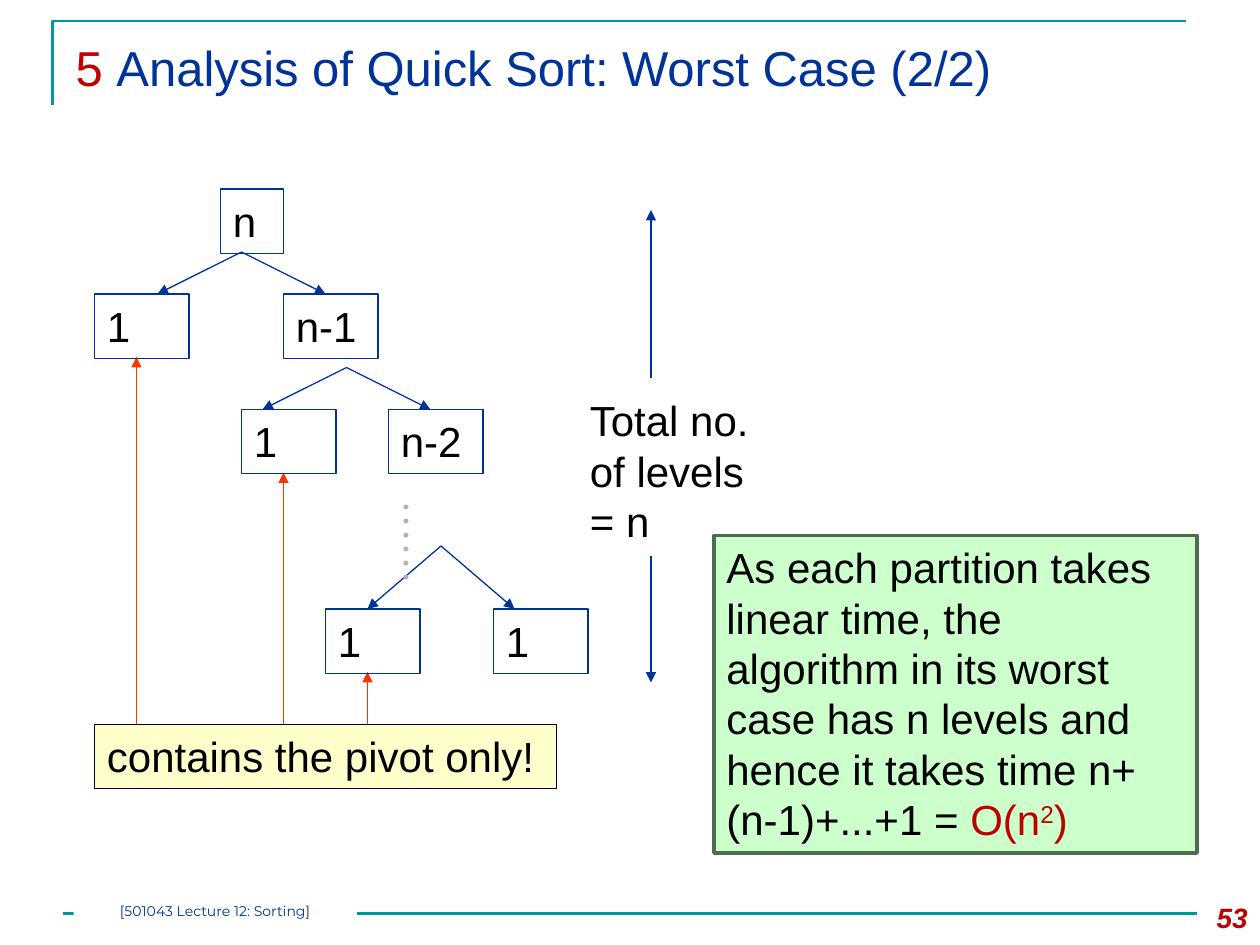
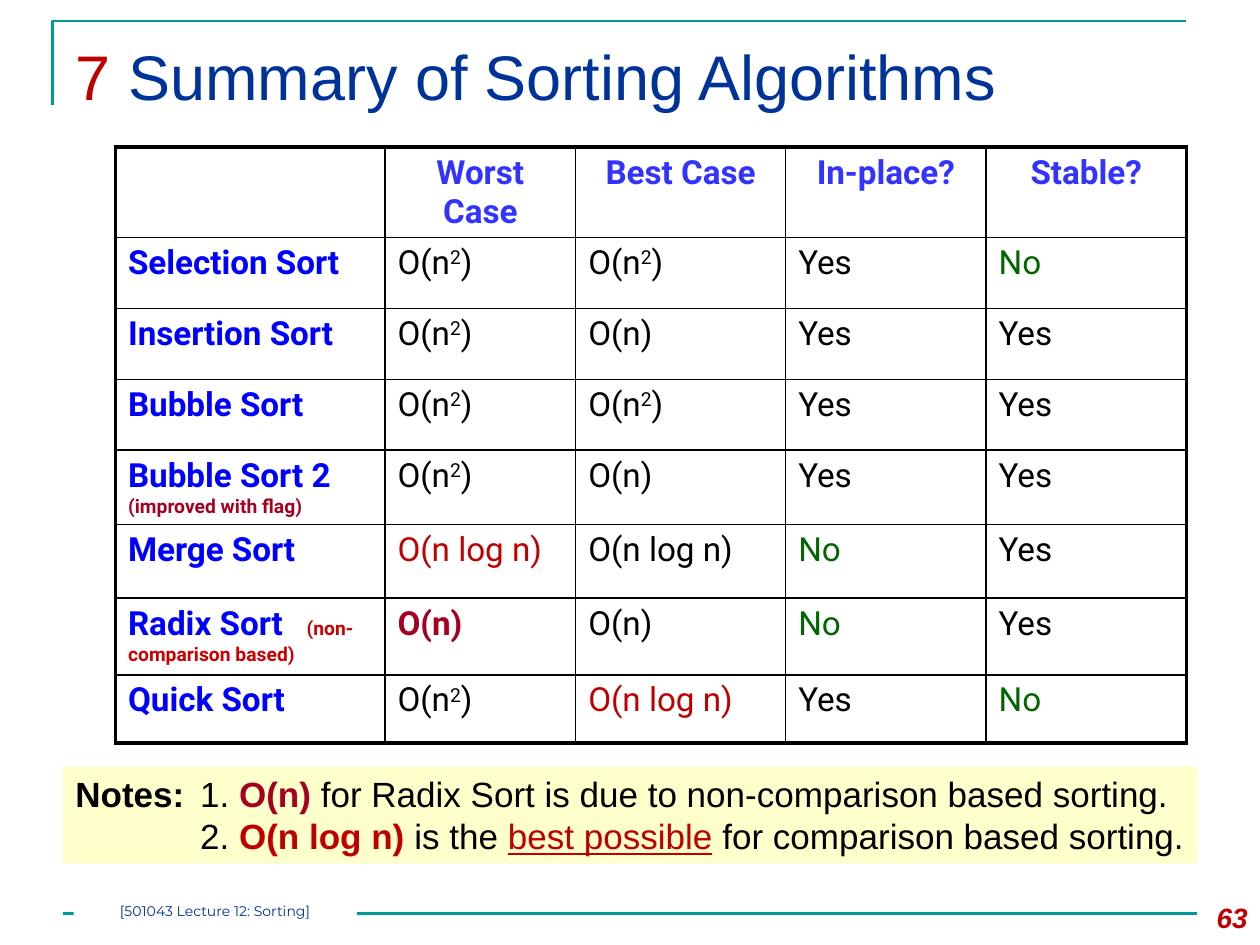
import pptx
import pptx.dml.color
import pptx.enum.shapes
import pptx.enum.text
import pptx.oxml
import pptx.oxml.ns
import pptx.util
from lxml import etree

Pt = pptx.util.Pt
Rgb = pptx.dml.color.RGBColor.from_string
Align = pptx.enum.text.PP_ALIGN
RECTANGLE = pptx.enum.shapes.MSO_SHAPE.RECTANGLE
STRAIGHT = pptx.enum.shapes.MSO_CONNECTOR.STRAIGHT
qn = pptx.oxml.ns.qn


class Theme:
    font, footer_font, table_font, dots_font = "Arial", "Montserrat", "Roboto", "Times New Roman"
    black, navy, teal = Rgb("000000"), Rgb("003399"), Rgb("009999")
    red, crimson, bright_red, arrow_red = Rgb("C00000"), Rgb("A50021"), Rgb("CC0000"), Rgb("FF3300")
    header_blue, name_blue, green = Rgb("3333FF"), Rgb("0000FF"), Rgb("006600")
    white, cream, mint, moss, grey = (
        Rgb("FFFFFF"), Rgb("FFFFCC"), Rgb("CCFFCC"), Rgb("4C6D4E"), Rgb("B2B2B2"))
    long_title, short_title = 28, 36
    body, notes, table, remark, number, footer = 24, 20, 19, 11, 16, 8
    thin, table_rule, medium, thick, table_edge = 0.75, 1, 1.5, 2, 2.25


def write(frame, *paragraphs, font=Theme.font, size=Theme.body, color=Theme.black, bold=False,
          italic=False, align=Align.LEFT, tab=None, inset=None, wrap=True):
    """Fill a text frame; a paragraph is a list of strings or (string, overrides) pairs."""
    frame.word_wrap = wrap
    frame.vertical_anchor = pptx.enum.text.MSO_ANCHOR.TOP
    if inset is not None:
        frame.margin_left = frame.margin_right = frame.margin_top = frame.margin_bottom = Pt(inset)
    for index, pieces in enumerate(paragraphs):
        para = frame.add_paragraph() if index else frame.paragraphs[0]
        para.alignment = align
        para.line_spacing = 1.0
        if tab:
            stops = etree.SubElement(para._p.get_or_add_pPr(), qn("a:tabLst"))
            etree.SubElement(stops, qn("a:tab"), pos=str(Pt(tab)), algn="l")
        for piece in pieces:
            text, own = (piece, {}) if isinstance(piece, str) else piece
            span = para.add_run()
            span.text = text
            span.font.name = font
            span.font.size = Pt(own.get("size", size))
            span.font.color.rgb = own.get("color", color)
            span.font.bold = own.get("bold", bold)
            span.font.italic = italic
            if own.get("underline"):
                span.font.underline = True
            if own.get("raised"):
                span._r.get_or_add_rPr().set("baseline", "30000")


deck = pptx.Presentation()
deck.slide_width, deck.slide_height = Pt(720), Pt(540)

lines = []  # page, start, end, colour, width, arrow
boxes = []  # page, left, top, width, height, fill, outline, outline width, paragraphs, format

# Shared title, frame and footer
pages = []
for section, heading, size, title_width, number in [
    ("5 ", "Analysis of Quick Sort: Worst Case (2/2)", Theme.long_title, 660, "53"),
    ("7 ", "Summary of Sorting Algorithms", Theme.short_title, 648, "63"),
]:
    page = deck.slides.add_slide(deck.slide_layouts[5])
    pages.append(page)
    title = page.shapes.title
    title.left, title.top, title.width, title.height = Pt(36), Pt(18), Pt(title_width), Pt(72)
    title.text_frame.auto_size = pptx.enum.text.MSO_AUTO_SIZE.NONE
    write(title.text_frame, [(section, {"color": Theme.red}), heading], size=size, color=Theme.navy)

    builder = page.shapes.build_freeform(Pt(30), Pt(60))
    builder.add_line_segments([(Pt(30), Pt(12)), (Pt(678), Pt(12))], close=False)
    corner = builder.convert_to_shape()
    corner.shadow.inherit = False
    corner.fill.background()
    corner.line.color.rgb = Theme.teal
    corner.line.width = Pt(Theme.medium)

    lines.append((page, (36, 522), (684, 522), Theme.teal, Theme.medium, False))
    boxes += [
        (page, 42, 516, 162, 12, Theme.white, None, 0, [["[501043 Lecture 12: Sorting]"]],
         dict(font=Theme.footer_font, size=Theme.footer, color=Theme.navy, align=Align.CENTER,
              inset=0)),
        (page, 672, 511, 48, 29, None, None, 0, [[number]],
         dict(size=Theme.number, color=Theme.red, bold=True, italic=True, align=Align.RIGHT)),
    ]
worst_case, summary = pages

# Worst case: recursion tree
for label, left, top, width in [
    ("n", 126, 108, 36), ("1", 54, 168, 54), ("n-1", 162, 168, 54), ("1", 138, 234, 54),
    ("n-2", 222, 234, 54), ("1", 186, 348, 54), ("1", 282, 348, 54),
]:
    boxes.append((worst_case, left, top, width, 36.75, None, Theme.navy, Theme.thin, [[label]], {}))

for fork_x, fork_y, spread, drop in [(138, 144, 48, 24), (198, 210, 48, 24), (252, 312, 42, 36)]:
    for side in (-spread, spread):
        lines.append((worst_case, (fork_x, fork_y), (fork_x + side, fork_y + drop),
                      Theme.navy, Theme.thin, True))
for start_y, end_y in [(216, 120), (318, 390)]:
    lines.append((worst_case, (372, start_y), (372, end_y), Theme.navy, Theme.thin, True))
for pivot_x, pivot_y in [(78, 204), (162, 270), (210, 384)]:
    lines.append((worst_case, (pivot_x, 414), (pivot_x, pivot_y), Theme.arrow_red, Theme.thin, True))

raised = {"raised": True}
result = {"color": Theme.red}
boxes += [
    (worst_case, 330, 222, 114, 93.5, None, None, 0, [["Total no. of levels = n"]], {}),
    (worst_case, 54, 414, 264, 36.75, Theme.cream, Theme.black, Theme.thin,
     [["contains the pivot only!"]], {}),
    (worst_case, 408, 306, 276, 181.5, Theme.mint, Theme.moss, Theme.thick,
     [["As each partition takes linear time, the algorithm in its worst case has n levels "
       "and hence it takes time n+(n-1)+...+1 = ",
       ("O(n", result), ("2", result | raised), (")", result)]], {}),
]

# Summary: table of algorithms
linear, squared, log_linear = ["O(n)"], ["O(n", ("2", raised), ")"], ["O(n log n)"]
best_log_linear = [("O(n log n)", {"color": Theme.red})]
best_linear = [("O(n)", {"color": Theme.crimson, "bold": True})]
yes, no = ["Yes"], [("No", {"color": Theme.green})]
flag_remark = ("(improved with flag)", {"size": Theme.remark, "color": Theme.crimson})
radix_remark = ("\t(non-comparison based)", {"size": Theme.remark, "color": Theme.bright_red})
rows = [
    [[], ["Worst Case"], ["Best Case"], ["In-place?"], ["Stable?"]],
    [["Selection Sort"], squared, squared, yes, no],
    [["Insertion Sort"], squared, linear, yes, yes],
    [["Bubble Sort"], squared, squared, yes, yes],
    [["Bubble Sort 2 ", flag_remark], squared, linear, yes, yes],
    [["Merge Sort"], best_log_linear, log_linear, no, yes],
    [["Radix Sort", radix_remark], best_linear, linear, no, yes],
    [["Quick Sort"], squared, best_log_linear, yes, no],
]
row_heights = [48, 40.5, 40.5, 40.5, 40.5, 42, 44, 39]
column_widths = [154, 109, 120, 114.5, 114.5]
table = summary.shapes.add_table(len(rows), len(column_widths), Pt(66), Pt(84),
                                 Pt(sum(column_widths)), Pt(sum(row_heights))).table
table.first_row = table.horz_banding = False
for column, width in zip(table.columns, column_widths):
    column.width = Pt(width)
last_row, last_column = len(rows) - 1, len(column_widths) - 1
for r, (row, height) in enumerate(zip(rows, row_heights)):
    table.rows[r].height = Pt(height)
    for c, pieces in enumerate(row):
        cell = table.cell(r, c)
        if r == 0:
            look = dict(color=Theme.header_blue, bold=True, align=Align.CENTER)
        elif c == 0:
            look = dict(color=Theme.name_blue, bold=True)
        else:
            look = {}
        if radix_remark in pieces:
            look["tab"] = 102
        write(cell.text_frame, pieces, font=Theme.table_font, size=Theme.table, **look)
        properties = cell._tc.get_or_add_tcPr()
        for side, outer in [("L", c == 0), ("R", c == last_column),
                            ("T", r == 0), ("B", r == last_row)]:
            weight = Theme.table_edge if outer else Theme.table_rule
            border = etree.SubElement(properties, qn(f"a:ln{side}"), w=str(Pt(weight)))
            paint = etree.SubElement(border, qn("a:solidFill"))
            etree.SubElement(paint, qn("a:srgbClr"), val=str(Theme.black))
        cell.fill.background()

boxes.append((summary, 36, 438, 648, 55.5, Theme.cream, None, 0, [
    [("Notes:", {"bold": True}), "\t1. ", best_linear[0],
     " for Radix Sort is due to non-comparison based sorting."],
    ["\t2.", (" O(n log n) ", {"color": Theme.red, "bold": True}), "is the ",
     ("best possible", {"color": Theme.red, "underline": True}),
     " for comparison based sorting."],
], dict(size=Theme.notes, tab=71.25)))

# Draw the lines, then the boxes over them
for page, start, end, color, width, arrow in lines:
    line = page.shapes.add_connector(STRAIGHT, *(Pt(value) for value in start + end))
    line.line.color.rgb = color
    line.line.width = Pt(width)
    if arrow:
        etree.SubElement(line.get_or_add_ln(), qn("a:tailEnd"), type="triangle")
    etree.SubElement(line.element.spPr, qn("a:effectLst"))

for page, left, top, width, height, fill, outline, weight, paragraphs, look in boxes:
    place = [Pt(value) for value in (left, top, width, height)]
    if fill is None and outline is None:
        box = page.shapes.add_textbox(*place)
    else:
        box = page.shapes.add_shape(RECTANGLE, *place)
        box.shadow.inherit = False
        if fill is None:
            box.fill.background()
        else:
            box.fill.solid()
            box.fill.fore_color.rgb = fill
        if outline is None:
            box.line.fill.background()
        else:
            box.line.color.rgb = outline
            box.line.width = Pt(weight)
    write(box.text_frame, *paragraphs, **look)

# Vertical dots between the tree levels
dots = worst_case.shapes.add_textbox(Pt(215.25), Pt(278.75), Pt(43.25), Pt(55.5))
write(dots.text_frame, ["……"], font=Theme.dots_font, color=Theme.grey, wrap=False)
dots.element.txBody.bodyPr.set("vert", "eaVert")

deck.save("out.pptx")
